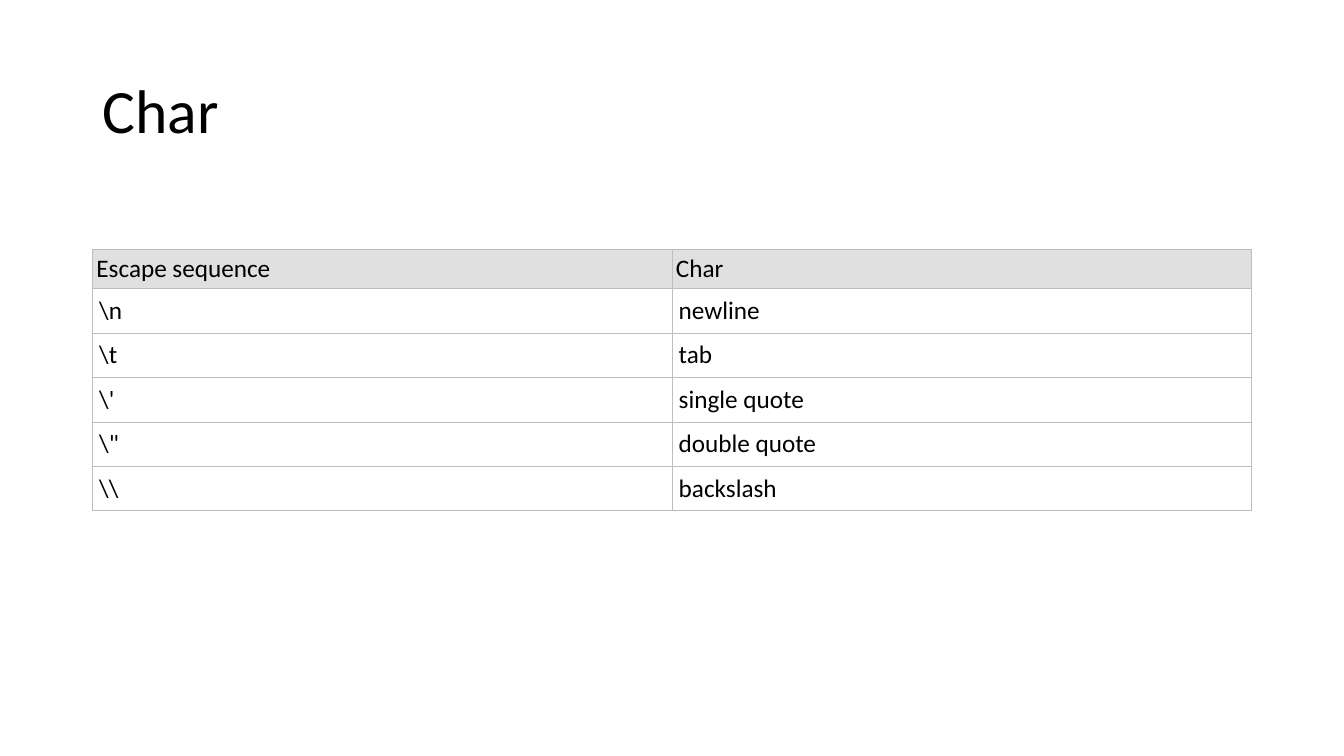
import pptx
import pptx.dml.color
import pptx.enum.text
import pptx.oxml
import pptx.oxml.ns
import pptx.util
from pptx.util import Cm

FONT = "Calibri"
BLACK = "000000"
HEADER_FILL = "E0E0E0"
BORDER = "BDBDBD"
LEFT, WIDTH = Cm(2.33), Cm(29.21)
HEADER_HEIGHT, ROW_HEIGHT = Cm(0.98), Cm(1.12)

ROWS = [
    ("Escape sequence", "Char"),
    (r"\n", "newline"),
    (r"\t", "tab"),
    (r"\'", "single quote"),
    (r'\"', "double quote"),
    (r"\\", "backslash"),
]


def color(value):
    return pptx.dml.color.RGBColor.from_string(value)


def format_text(text_frame, size):
    for paragraph in text_frame.paragraphs:
        paragraph.alignment = pptx.enum.text.PP_ALIGN.LEFT
        for run in paragraph.runs:
            run.font.name = FONT
            run.font.size = pptx.util.Pt(size)
            run.font.color.rgb = color(BLACK)


def add_borders(cell, width=0.6):
    properties = cell._tc.get_or_add_tcPr()
    for side in ("lnL", "lnR", "lnT", "lnB"):
        properties.append(pptx.oxml.parse_xml(
            f'<a:{side} {pptx.oxml.ns.nsdecls("a")} w="{pptx.util.Pt(width)}">'
            f'<a:solidFill><a:srgbClr val="{BORDER}"/></a:solidFill></a:{side}>'
        ))


def add_title(slide, text):
    title = slide.shapes.title
    title.left, title.top, title.width, title.height = LEFT, Cm(1.02), WIDTH, Cm(3.68)
    title.text_frame.text = text
    title.text_frame.vertical_anchor = pptx.enum.text.MSO_ANCHOR.MIDDLE
    title.text_frame.paragraphs[0].line_spacing = 0.9
    format_text(title.text_frame, 44)


def fill_cell(cell, text, is_header):
    cell.text_frame.text = text
    format_text(cell.text_frame, 18)
    cell.vertical_anchor = pptx.enum.text.MSO_ANCHOR.MIDDLE
    margin = Cm(0.1) if is_header else Cm(0.17)
    cell.margin_left = cell.margin_right = margin
    cell.margin_top = cell.margin_bottom = margin
    add_borders(cell)
    if is_header:
        cell.fill.solid()
        cell.fill.fore_color.rgb = color(HEADER_FILL)
    else:
        cell.fill.background()


def add_escape_table(slide, rows):
    height = HEADER_HEIGHT + ROW_HEIGHT * (len(rows) - 1)
    table = slide.shapes.add_table(
        len(rows), len(rows[0]), LEFT, Cm(6.29), WIDTH, height).table
    table.first_row = table.horz_banding = False
    for row_index, texts in enumerate(rows):
        is_header = row_index == 0
        table.rows[row_index].height = HEADER_HEIGHT if is_header else ROW_HEIGHT
        for column_index, text in enumerate(texts):
            fill_cell(table.cell(row_index, column_index), text, is_header)


def main():
    presentation = pptx.Presentation()
    presentation.slide_width, presentation.slide_height = Cm(33.87), Cm(19.05)
    slide = presentation.slides.add_slide(presentation.slide_layouts[5])
    add_title(slide, "Char")
    add_escape_table(slide, ROWS)
    presentation.save("out.pptx")


if __name__ == "__main__":
    main()
